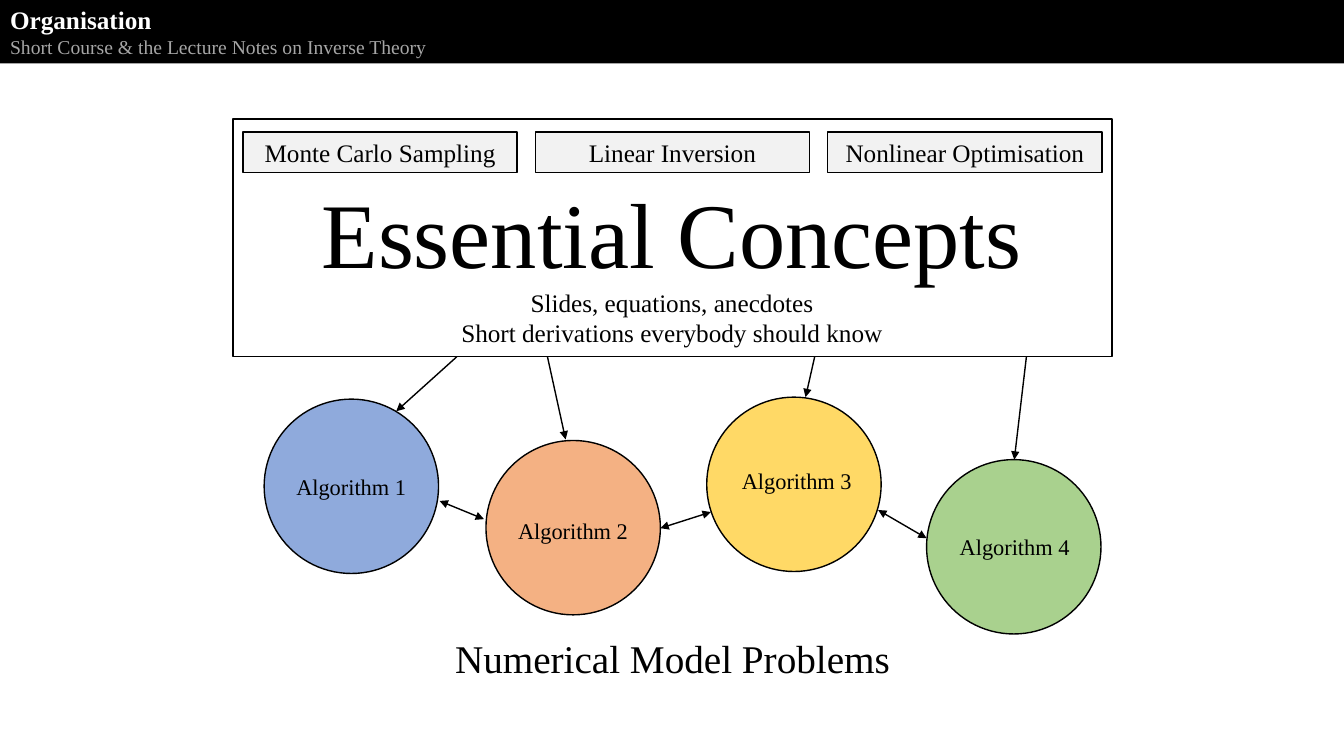
from lxml import etree
from pptx import Presentation
from pptx.dml.color import RGBColor
from pptx.enum.shapes import MSO_CONNECTOR as Link, MSO_SHAPE as Form
from pptx.enum.text import MSO_ANCHOR as Anchor, MSO_AUTO_SIZE as Fit, PP_ALIGN as Align
from pptx.oxml.ns import qn
from pptx.util import Inches, Pt


def color(code):
    return RGBColor.from_string(code)


class Page:
    face = "Times New Roman"
    ink = "000000"

    def __init__(self, deck):
        self.slide = deck.slides.add_slide(deck.slide_layouts[5])
        self.shapes = self.slide.shapes

    def letter(self, shape, lines, align=Align.CENTER, anchor=Anchor.TOP, wrap=True):
        frame = shape.text_frame
        frame.text = "\n".join(text for text, *_ in lines)
        frame.word_wrap = wrap
        frame.auto_size = Fit.NONE
        frame.vertical_anchor = anchor
        frame.margin_left = frame.margin_right = Inches(0.1)
        frame.margin_top = frame.margin_bottom = Inches(0.05)
        for para, (_, size, tone, bold) in zip(frame.paragraphs, lines):
            para.alignment = align
            for run in para.runs:
                font = run.font
                font.name, font.size, font.bold = self.face, Pt(size), bold
                font.color.rgb = color(tone)

    def head(self, lines, *place):
        title = self.shapes.title
        title.left, title.top, title.width, title.height = map(Inches, place)
        title.fill.solid()
        title.fill.fore_color.rgb = color(self.ink)
        self.letter(title, lines, Align.LEFT, Anchor.MIDDLE)

    def text(self, lines, *place, align=Align.CENTER, wrap=True):
        box = self.shapes.add_textbox(*map(Inches, place))
        self.letter(box, [(words, size, self.ink, False) for words, size in lines],
                    align, wrap=wrap)

    def shape(self, form, fill, *place, label=None):
        item = self.shapes.add_shape(form, *map(Inches, place))
        item.shadow.inherit = False
        if fill:
            item.fill.solid()
            item.fill.fore_color.rgb = color(fill)
        else:
            item.fill.background()
        item.line.color.rgb = color(self.ink)
        item.line.width = Pt(1)
        if label:
            self.letter(item, [(label, 18, self.ink, False)], anchor=Anchor.MIDDLE)

    def arrow(self, start, end, both=False):
        link = self.shapes.add_connector(Link.STRAIGHT, *map(Inches, start + end))
        link.line.color.rgb = color(self.ink)
        link.line.width = Pt(1)
        line = link.line._get_or_add_ln()
        for tip in ("a:headEnd", "a:tailEnd") if both else ("a:tailEnd",):
            etree.SubElement(line, qn(tip), type="triangle")
        etree.SubElement(link._element.spPr, qn("a:effectLst"))


def main():
    deck = Presentation()
    deck.slide_width, deck.slide_height = Inches(13.33), Inches(7.5)
    page = Page(deck)
    page.head([("Organisation", 18, "FFFFFF", True),
               ("Short Course & the Lecture Notes on Inverse Theory", 14, "A6A6A6", False)],
              0, -0.01, 13.33, 0.64)

    page.text([("Essential Concepts", 66),
               ("Slides, equations, anecdotes", 18),
               ("Short derivations everybody should know", 18)],
              2.94, 1.7, 7.45, 1.85)
    topics = ("Monte Carlo Sampling", "Linear Inversion", "Nonlinear Optimisation")
    for i, topic in enumerate(topics):
        page.shape(Form.RECTANGLE, "F2F2F2", 2.41 + 2.9 * i, 1.31, 2.72, 0.4, label=topic)
    page.shape(Form.RECTANGLE, None, 2.31, 1.18, 8.72, 2.36)

    discs = (("8FAADC", 2.62, 3.96, 2.84, 4.64),
             ("F4B183", 4.82, 4.37, 5.04, 5.08),
             ("FFD966", 7.01, 3.94, 7.26, 4.59),
             ("A9D18E", 9.19, 4.56, 9.42, 5.24))
    for i, (fill, left, top, x, y) in enumerate(discs, 1):
        page.shape(Form.OVAL, fill, left, top, 1.73, 1.73)
        page.text([(f"Algorithm {i}", 16)], x, y, 1.31, 0.37, align=Align.LEFT, wrap=False)

    for x, end in ((4.53, (3.93, 4.08)), (5.43, (5.61, 4.36)),
                   (8.08, (7.99, 3.94)), (10.18, (10.06, 4.56))):
        page.arrow((x, 3.54), end)
    for start, end in (((4.8, 5.15), (4.36, 4.97)), ((7.05, 5.08), (6.55, 5.24)),
                       ((9.19, 5.34), (8.71, 5.06))):
        page.arrow(start, end, both=True)

    page.text([("Numerical Model Problems", 28)], 3.96, 6.24, 5.42, 0.57)
    deck.save("out.pptx")


if __name__ == "__main__":
    main()
